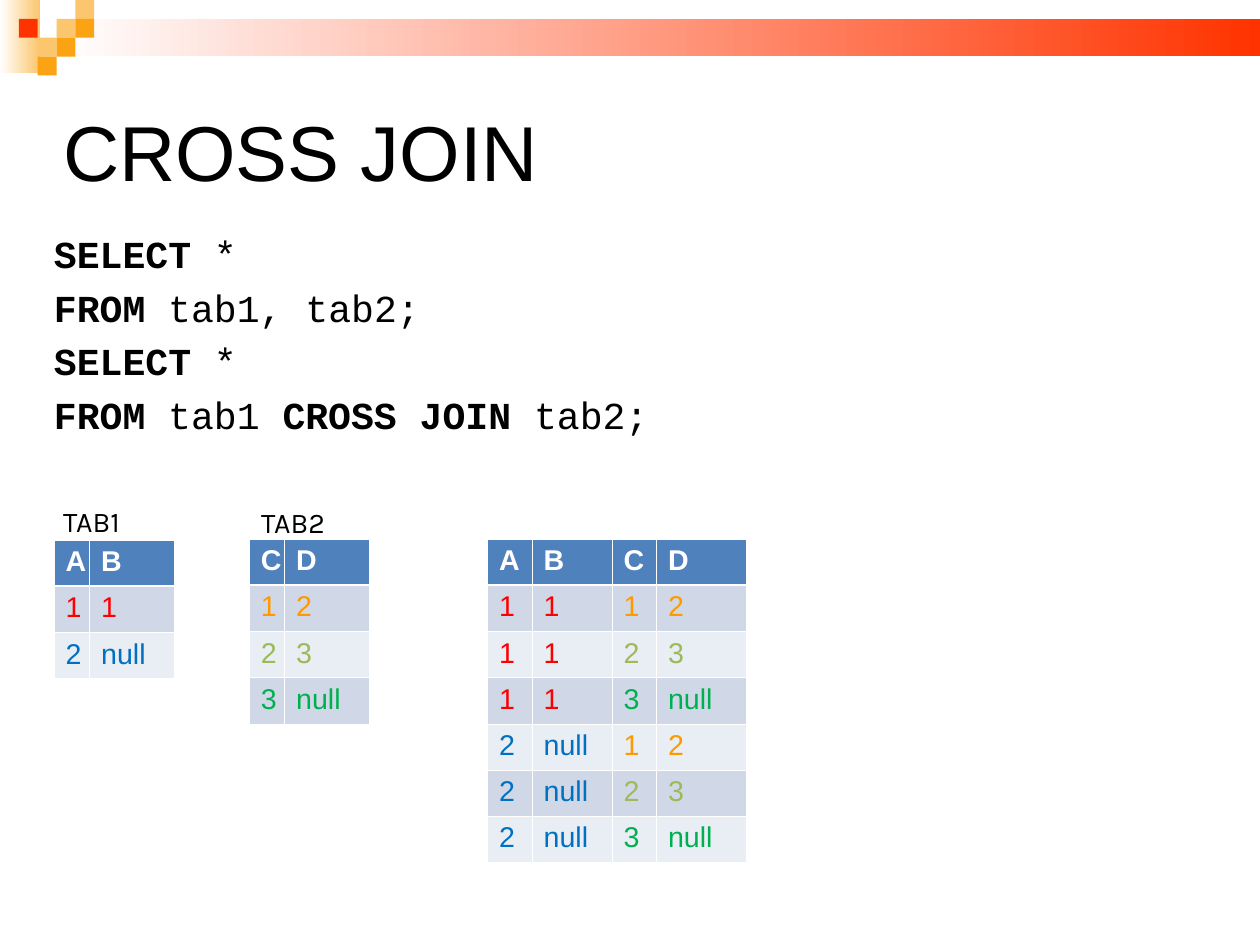
from itertools import product

from lxml.etree import SubElement
from pptx import Presentation
from pptx.dml.color import RGBColor
from pptx.enum.shapes import MSO_SHAPE as SHAPE
from pptx.enum.text import MSO_ANCHOR as ANCHOR
from pptx.oxml.ns import qn
from pptx.util import Cm, Inches, Pt

BLACK = RGBColor(0x00, 0x00, 0x00)
WHITE = RGBColor(0xFF, 0xFF, 0xFF)
SCARLET = RGBColor(0xFF, 0x33, 0x00)
SAND = RGBColor(0xFC, 0xC6, 0x6E)
AMBER = RGBColor(0xFB, 0xA3, 0x13)
HEADER = RGBColor(0x4F, 0x81, 0xBD)
BANDS = (RGBColor(0xD0, 0xD8, 0xE8), RGBColor(0xE9, 0xED, 0xF4))
RED = RGBColor(0xFF, 0x00, 0x00)
BLUE = RGBColor(0x00, 0x70, 0xC0)
ORANGE = RGBColor(0xFF, 0x99, 0x00)
OLIVE = RGBColor(0x9B, 0xBB, 0x59)
GREEN = RGBColor(0x00, 0xB0, 0x50)

MOSAIC = [(3, 1, SAND), (4, 0, SAND), (4, 1, AMBER), (2, 2, SAND),
          (1, 1, SCARLET), (3, 2, AMBER), (2, 3, AMBER)]
QUERY = [
    [("SELECT ", True), ("*", False)],
    [("FROM ", True), ("tab1, tab2;", False)],
    [("SELECT ", True), ("*", False)],
    [("FROM ", True), ("tab1 ", False), ("CROSS JOIN", True), (" tab2;", False)],
]


def record(color, *values):
    return [(value, color) for value in values]


TAB1 = [record(RED, "1", "1"), record(BLUE, "2", "null")]
TAB2 = [record(ORANGE, "1", "2"), record(OLIVE, "2", "3"),
        record(GREEN, "3", "null")]
CROSS = [left + right for left, right in product(TAB1, TAB2)]


class GridSlide:
    unit = Inches(0.165)
    sans, mono, label_font = "Arial", "Courier New", "Karla"
    row_height = 2.45
    thin, thick = Pt(0.45), Pt(1.47)

    def __init__(self, prs):
        self.s = prs.slides.add_slide(prs.slide_layouts[6])

    def grid(self, *cells):
        return [round(cell * self.unit) for cell in cells]

    def style(self, font, name, size, color, bold=False):
        font.name, font.size, font.bold = name, Pt(size), bold
        font.color.rgb = color

    def block(self, x, y, w, h, color, fade=False):
        sp = self.s.shapes.add_shape(SHAPE.RECTANGLE, *self.grid(x, y, w, h))
        sp.shadow.inherit = False
        sp.line.fill.background()
        if fade:
            sp.fill.gradient()
            sp.fill.gradient_angle = 0
            for stop, rgb in zip(sp.fill.gradient_stops, (WHITE, color)):
                stop.color.rgb = rgb
        else:
            sp.fill.solid()
            sp.fill.fore_color.rgb = color

    def box(self, x, y, w, h):
        tf = self.s.shapes.add_textbox(*self.grid(x, y, w, h)).text_frame
        tf.word_wrap = True
        tf.margin_left = tf.margin_right = tf.margin_top = tf.margin_bottom = 0
        return tf

    def title(self, x, y, w, h, text):
        tf = self.box(x, y, w, h)
        tf.vertical_anchor = ANCHOR.MIDDLE
        tf.text = text
        p = tf.paragraphs[0]
        p.line_spacing = 0.87
        self.style(p.runs[0].font, self.sans, 49, BLACK)

    def code(self, x, y, w, h, lines):
        tf = self.box(x, y, w, h)
        tf.margin_top = Inches(0.06)
        for i, line in enumerate(lines):
            p = tf.add_paragraph() if i else tf.paragraphs[0]
            p.line_spacing = 0.87
            p.space_before = Pt(8.8 if i else 0)
            for text, bold in line:
                r = p.add_run()
                r.text = text
                self.style(r.font, self.mono, 24, BLACK, bold)

    def label(self, x, y, text):
        tf = self.s.shapes.add_textbox(*self.grid(x, y, 5.15, 2.42)).text_frame
        tf.word_wrap = False
        tf.text = text
        self.style(tf.paragraphs[0].runs[0].font, self.label_font, 18, BLACK)

    def border(self, cell, side, width):
        ln = SubElement(cell._tc.get_or_add_tcPr(), qn(f"a:ln{side}"), w=str(width))
        fill = SubElement(ln, qn("a:solidFill"))
        SubElement(fill, qn("a:srgbClr"), val=str(WHITE))

    def table(self, x, y, widths, names, records):
        rows = [record(WHITE, *names)] + records
        size = self.grid(x, y, sum(widths), self.row_height * len(rows))
        tbl = self.s.shapes.add_table(len(rows), len(widths), *size).table
        tbl.horz_banding = False
        for col, width in zip(tbl.columns, self.grid(*widths)):
            col.width = width
        for i, row in enumerate(rows):
            for j, (text, color) in enumerate(row):
                cell = tbl.cell(i, j)
                for side in "LRTB":
                    heavy = (i, side) in ((0, "B"), (1, "T"))
                    self.border(cell, side, self.thick if heavy else self.thin)
                cell.fill.solid()
                cell.fill.fore_color.rgb = BANDS[(i - 1) % 2] if i else HEADER
                cell.text = text
                r = cell.text_frame.paragraphs[0].runs[0]
                self.style(r.font, self.sans, 18, color, bold=i == 0)


def main():
    prs = Presentation()
    prs.slide_width, prs.slide_height = Cm(28), Cm(21)
    slide = GridSlide(prs)
    slide.block(0, 0, 2.12, 3.88, SAND, fade=True)
    slide.block(3.03, 1, 63.76, 2, SCARLET, fade=True)
    for col, row, color in MOSAIC:
        slide.block(col, row, 1, 1, color)
    slide.title(3.35, 3.33, 60.12, 10, "CROSS JOIN")
    slide.code(2.86, 12.18, 60.12, 28.36, QUERY)
    slide.table(2.88, 28.64, (1.88, 4.48), "AB", TAB1)
    slide.table(13.22, 28.59, (1.88, 4.48), "CD", TAB2)
    slide.table(25.86, 28.59, (2.36, 4.24, 2.36, 4.73), "ABCD", CROSS)
    slide.label(2.75, 26.42, "TAB1")
    slide.label(13.25, 26.48, "TAB2")
    prs.save("out.pptx")


if __name__ == "__main__":
    main()
